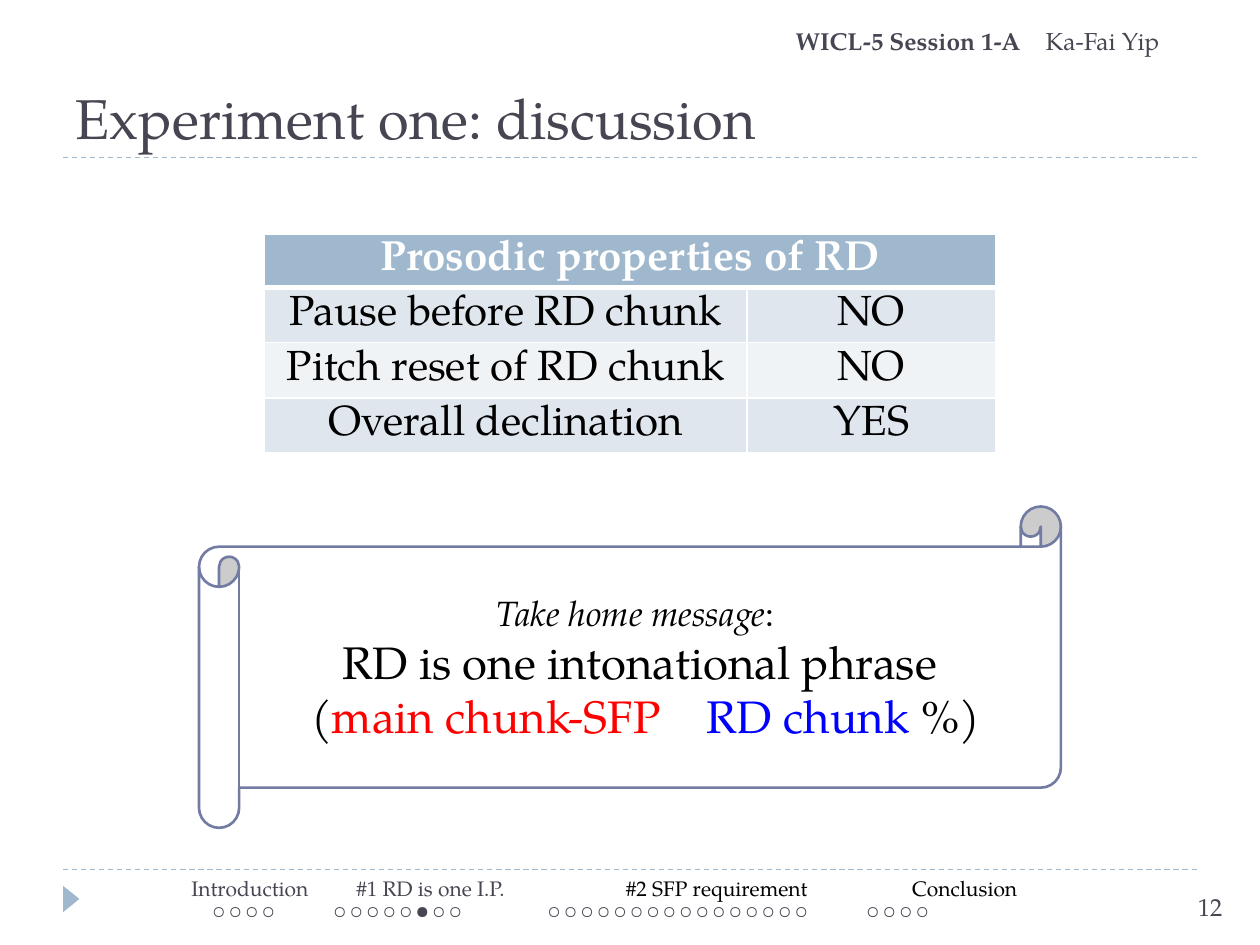
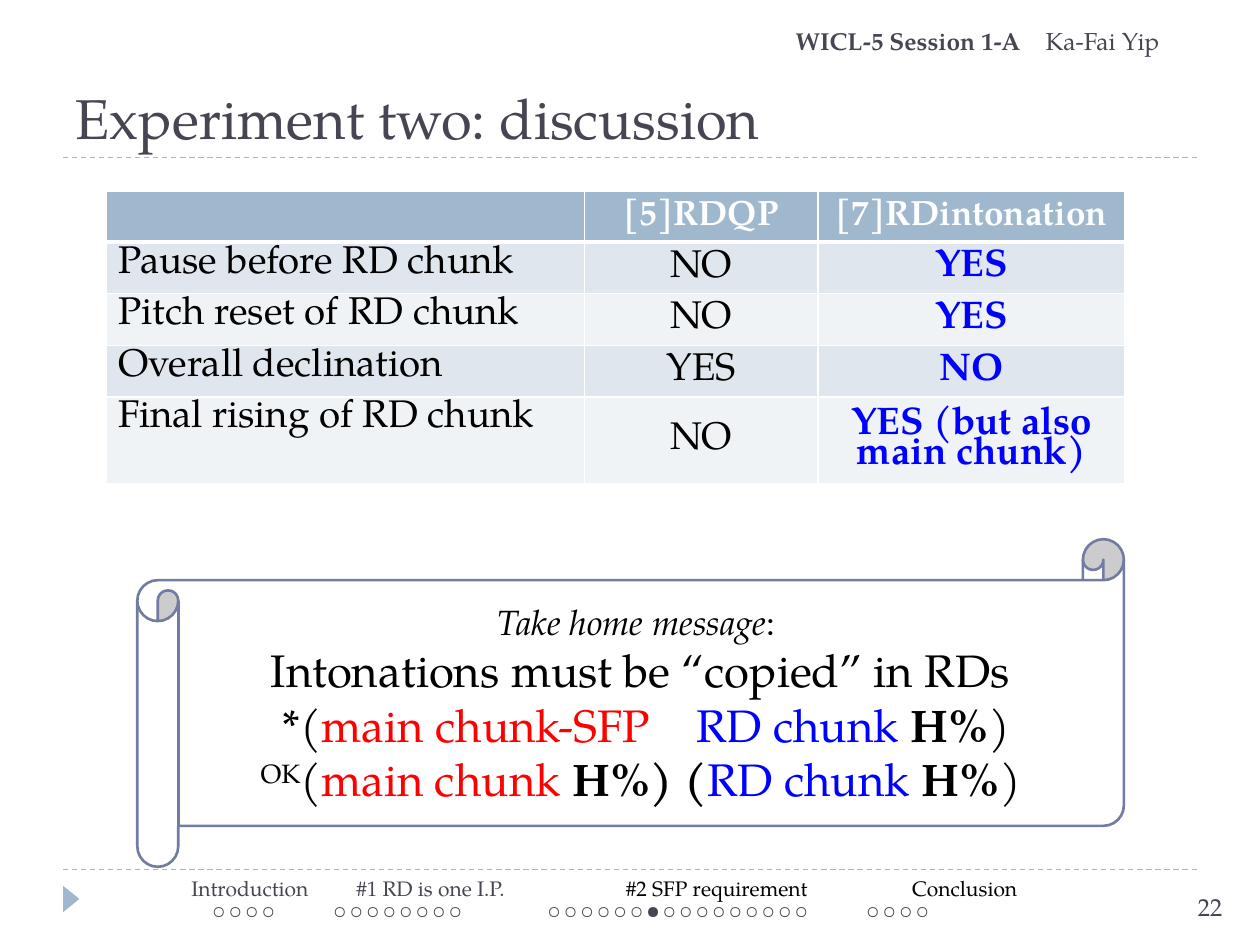
from lxml.etree import SubElement
from pptx import Presentation
from pptx.dml.color import RGBColor
from pptx.enum.dml import MSO_LINE
from pptx.enum.shapes import MSO_CONNECTOR, MSO_SHAPE
from pptx.enum.text import MSO_ANCHOR, MSO_AUTO_SIZE, PP_ALIGN
from pptx.oxml import parse_xml
from pptx.oxml.ns import nsdecls, qn
from pptx.util import Inches, Pt

FONT = "TeX Gyre Pagella"
WHITE = RGBColor(0xFF, 0xFF, 0xFF)
BLACK = RGBColor(0x00, 0x00, 0x00)
SLATE = RGBColor(0x46, 0x46, 0x53)
STEEL = RGBColor(0x9F, 0xB8, 0xCD)
EDGE = RGBColor(0x72, 0x7C, 0xA3)
BANDS = (RGBColor(0xDF, 0xE6, 0xED), RGBColor(0xF0, 0xF3, 0xF6))
RED = RGBColor(0xFF, 0x00, 0x00)
BLUE = RGBColor(0x00, 0x00, 0xFF)

LEFT, MID, RIGHT = PP_ALIGN.LEFT, PP_ALIGN.CENTER, PP_ALIGN.RIGHT
TOP, CORE = MSO_ANCHOR.TOP, MSO_ANCHOR.MIDDLE

# Column styles: alignment, anchor, colour, marks
PLAIN = (MID, CORE, BLACK, "")
LABEL = (LEFT, TOP, BLACK, "")
STRONG = (MID, CORE, BLUE, "b")

# Dots per part of the talk, and tab stops in columns
DOTS = (4, 8, 16, 4)
NAME_TABS = (2, 15.1, 36.5, 59.2)
DOT_TABS = (3.7, 13.3, 30.3, 55.6)


def unit(n):
    """One column or row of the 100 by 75 grid is a tenth of an inch."""
    return Inches(n / 10)


class Deck:
    def __init__(self):
        self.prs = Presentation()
        self.prs.slide_width = unit(100)
        self.prs.slide_height = unit(75)
        self.slide = None

    # Text: marks are b bold, i italic, ^ raised, w widened
    def style(self, run, size, ink, marks=""):
        font = run.font
        font.name, font.size = FONT, Pt(size)
        font.color.rgb = ink
        font.bold, font.italic = "b" in marks, "i" in marks
        props = font._element
        if "^" in marks:
            props.set("baseline", "30000")
        if "w" in marks:
            props.set("spc", "1950")

    def fill(self, frame, lines, align=LEFT):
        """Each line is a size and its runs: text, colour, marks."""
        for i, (size, runs) in enumerate(lines):
            para = frame.paragraphs[0] if i == 0 else frame.add_paragraph()
            para.alignment = align
            for text, *look in runs:
                run = para.add_run()
                run.text = text
                self.style(run, size, *look)

    def text(self, box, lines, align=LEFT):
        frame = self.slide.shapes.add_textbox(*map(unit, box)).text_frame
        frame.word_wrap = True
        self.fill(frame, lines, align)
        return frame

    def tabs(self, para, stops):
        props = para._p.get_or_add_pPr()
        group = SubElement(props, qn("a:tabLst"))
        for stop in stops:
            SubElement(group, qn("a:tab"), pos=str(unit(stop)), algn="l")

    # Lines and shapes
    def rule(self, row):
        line = self.slide.shapes.add_connector(
            MSO_CONNECTOR.STRAIGHT, unit(5), unit(row), unit(95), unit(row))
        line.line.color.rgb = STEEL
        line.line.width = Pt(0.75)
        line.line.dash_style = MSO_LINE.DASH
        SubElement(line._element.spPr, qn("a:effectLst"))

    def shape(self, kind, box, paint, edge=None):
        item = self.slide.shapes.add_shape(kind, *map(unit, box))
        item.shadow.inherit = False
        item.fill.solid()
        item.fill.fore_color.rgb = paint
        if edge is None:
            item.line.fill.background()
        else:
            item.line.color.rgb = edge
            item.line.width = Pt(1.5)
        return item

    def scroll(self, box, lines):
        frame = self.shape(MSO_SHAPE.HORIZONTAL_SCROLL, box, WHITE, EDGE).text_frame
        frame.word_wrap = True
        frame.vertical_anchor = CORE
        intro = (20, [("Take home message", BLACK, "i"), (": ", BLACK)])
        self.fill(frame, [intro] + [(26, runs) for runs in lines], MID)

    # Table
    def edges(self, cell, head):
        props = cell._tc.get_or_add_tcPr()
        for i, side in enumerate("LRTB"):
            width = Pt(3 if head and side == "B" else 1)
            props.insert(i, parse_xml(
                f'<a:ln{side} {nsdecls("a")} w="{width}"><a:solidFill>'
                f'<a:srgbClr val="{WHITE}"/></a:solidFill></a:ln{side}>'))

    def cell(self, cell, text, size, look, paint, head):
        align, anchor, ink, marks = look
        cell.fill.solid()
        cell.fill.fore_color.rgb = paint
        cell.vertical_anchor = anchor
        self.edges(cell, head)
        para = cell.text_frame.paragraphs[0]
        para.text = text
        para.alignment = align
        para.line_spacing = 0.8
        for run in para.runs:
            self.style(run, size, ink, marks)

    def table(self, spot, cols, rows, sizes, looks, data):
        grid = self.slide.shapes.add_table(
            len(rows), len(cols), *map(unit, (*spot, sum(cols), sum(rows)))).table
        for col, width in zip(grid.columns, cols):
            col.width = unit(width)
        for row, height in zip(grid.rows, rows):
            row.height = unit(height)
        for r, texts in enumerate(data):
            head = r == 0
            paint = STEEL if head else BANDS[(r - 1) % 2]
            for c, look in enumerate(looks):
                text = texts[c] if c < len(texts) else ""
                if head:
                    look = (MID, CORE, WHITE, "b")
                self.cell(grid.cell(r, c), text, sizes[not head], look, paint, head)
            if len(texts) < len(cols):
                grid.cell(r, len(texts) - 1).merge(grid.cell(r, len(cols) - 1))

    # Shared parts of every slide
    def title(self, text):
        item = self.slide.shapes.title
        item.left, item.top, item.width, item.height = map(unit, (5, 1.7, 90, 10.8))
        frame = item.text_frame
        frame.text = text
        frame.auto_size = MSO_AUTO_SIZE.NONE
        frame.vertical_anchor = MSO_ANCHOR.BOTTOM
        frame.paragraphs[0].alignment = LEFT
        self.style(frame.paragraphs[0].runs[0], 32, SLATE)

    def guide(self, part, step):
        rows = [["○"] * count for count in DOTS]
        rows[part][step] = "●"
        dots = "".join("\t" + " ".join(row) for row in rows)
        frame = self.text((12.2, 69, 78, 5.5), [
            (12, [("\tIntroduction\t#1 RD is one I.P.", SLATE),
                  ("\t#2 SFP requirement\tConclusion", BLACK)]),
            (9, [(dots, SLATE)])])
        for para, stops in zip(frame.paragraphs, (NAME_TABS, DOT_TABS)):
            self.tabs(para, stops)

    def start(self, title, page, part, step):
        self.slide = self.prs.slides.add_slide(self.prs.slide_layouts[5])
        self.rule(69)
        self.rule(12.5)
        self.shape(MSO_SHAPE.ISOSCELES_TRIANGLE, (4.6, 70.7, 2.1, 1.3), STEEL).rotation = 90
        self.title(title)
        self.text((94.1, 70.3, 4.7, 4), [(14, [(page, SLATE)])])
        self.text((82, 1.6, 12.6, 4), [(14, [("Ka-Fai Yip", SLATE)])])
        self.text((61.8, 1.6, 20.2, 4),
                  [(14, [("WICL-5 Session 1-A", SLATE, "b")])], RIGHT)
        self.guide(part, step)


def main():
    deck = Deck()
    pair = [("main chunk-SFP", RED), (" ", RED, "w"), ("RD chunk ", BLUE)]

    # Experiment one
    deck.start("Experiment one: discussion", "12", 1, 5)
    deck.table((21, 18.6), (38.3, 19.7), (4.1, 4.4, 4.4, 4.3), (24, 24), (PLAIN, PLAIN), [
        ["Prosodic properties of RD"],
        ["Pause before RD chunk", "NO"],
        ["Pitch reset of RD chunk", "NO"],
        ["Overall declination", "YES"]])
    deck.scroll((15.8, 40.2, 68.4, 25.5), [
        [("RD is one intonational phrase", BLACK)],
        [(" (", BLACK), *pair, ("%)", BLACK)]])

    # Experiment two
    deck.start("Experiment two: discussion", "22", 2, 6)
    deck.table((8.4, 15.2), (38, 18.5, 24.4), (3.6, 4.1, 4.1, 4.1, 6.9), (20, 22),
               (LABEL, PLAIN, STRONG), [
        ["", "[5]RDQP", "[7]RDintonation"],
        ["Pause before RD chunk", "NO", "YES"],
        ["Pitch reset of RD chunk", "NO", "YES"],
        ["Overall declination", "YES", "NO"],
        ["Final rising of RD chunk", "NO", "YES (but also main chunk)"]])
    deck.scroll((10.9, 42.8, 78.3, 26), [
        [("Intonations must be “copied” in RDs", BLACK)],
        [(" *(", BLACK), *pair, ("H%", BLACK, "b"), (")", BLACK)],
        [(" ", BLACK), ("OK", BLACK, "^"), ("(", BLACK), ("main chunk", RED),
         (" H%) (", BLACK, "b"), ("RD chunk ", BLUE), ("H%", BLACK, "b"), (") ", BLACK)]])

    deck.prs.save("out.pptx")


if __name__ == "__main__":
    main()
